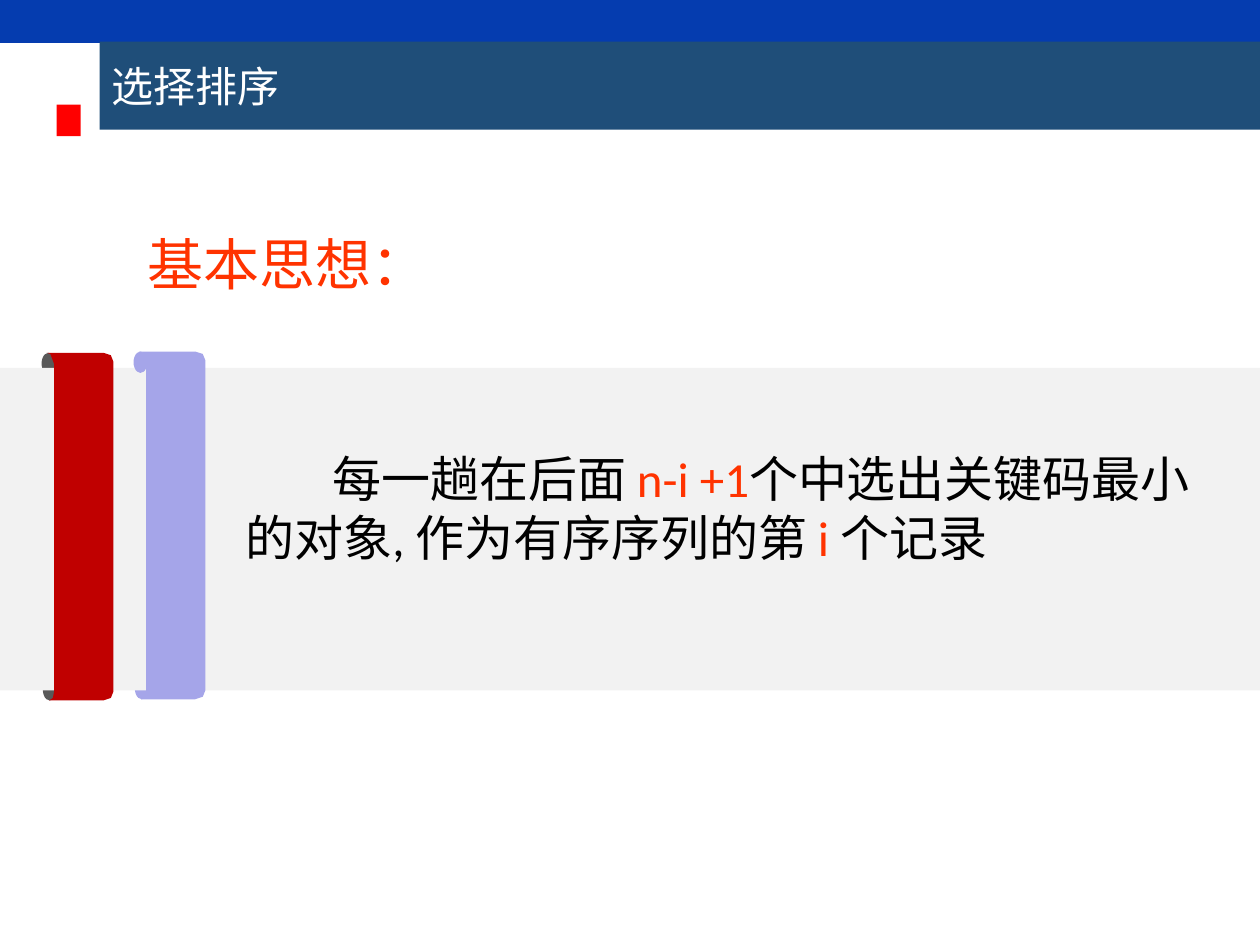
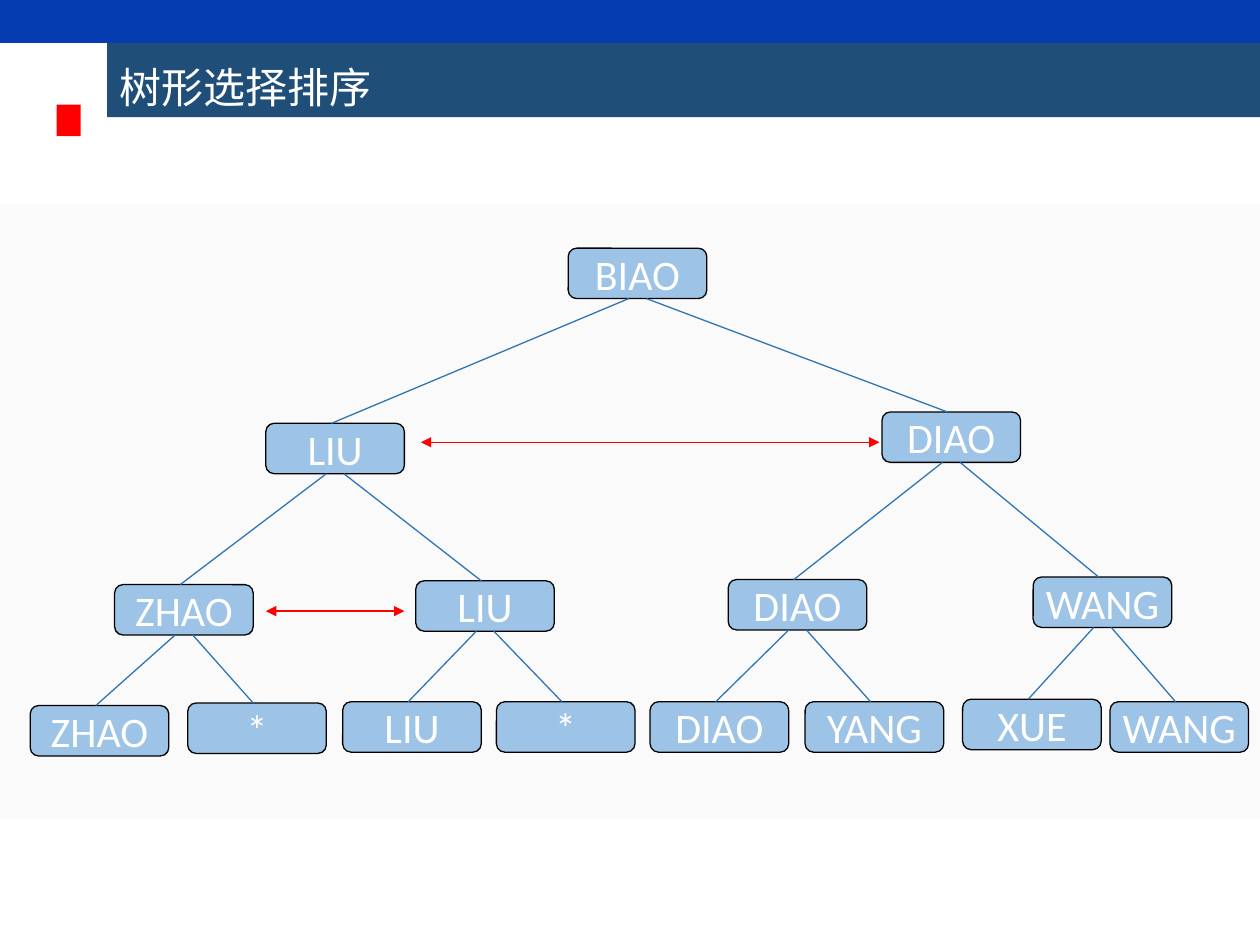
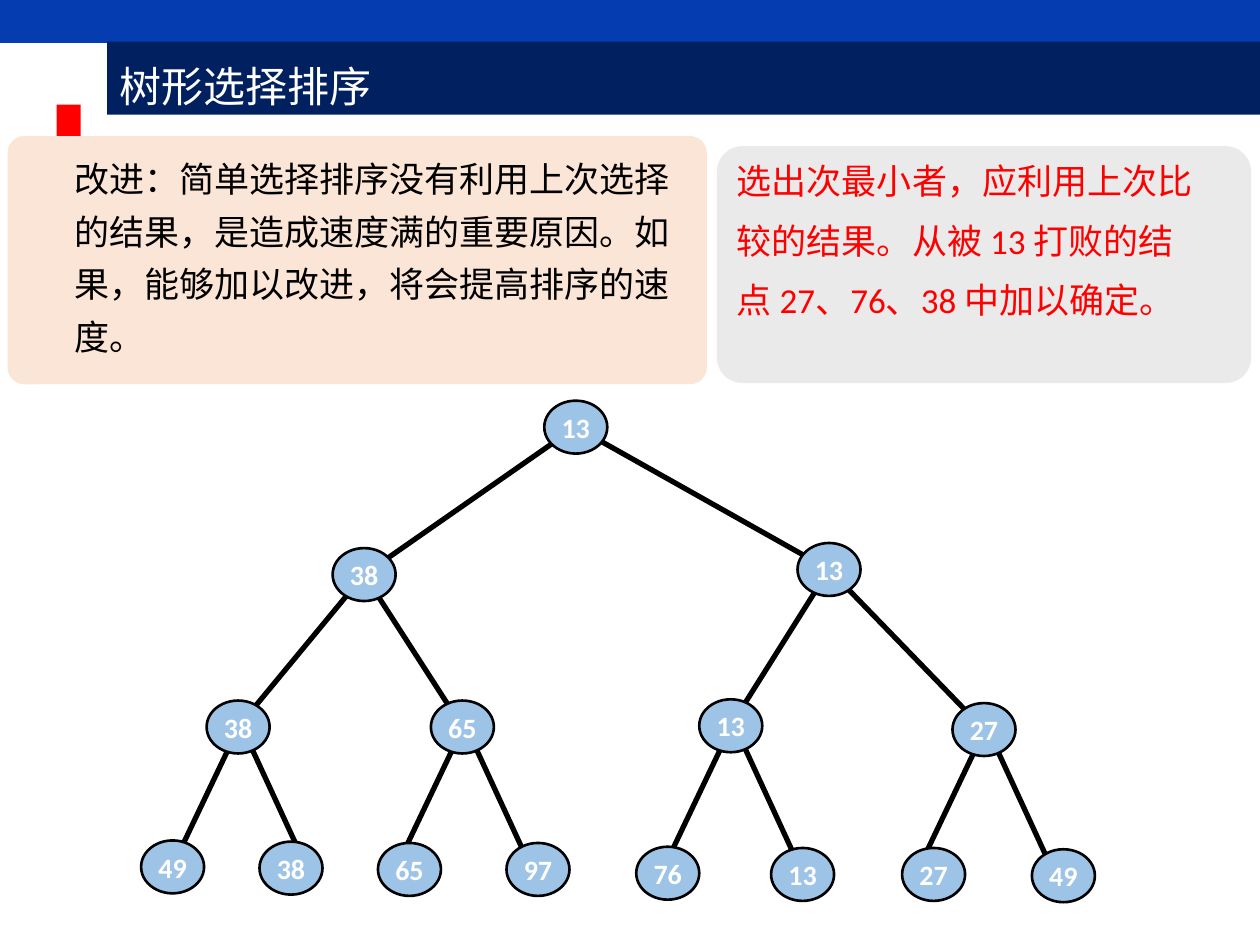
from lxml import etree
from pptx import Presentation
from pptx.dml.color import RGBColor
from pptx.enum import shapes, text
from pptx.oxml import ns
from pptx.util import Inches, Pt

FONT = "Calibri"
BLUE, RED, WHITE, BLACK = "053CAF", "FF0000", "FFFFFF", "000000"
STEEL, NAVY, ORANGE = "1F4E79", "002060", "FF3300"
NODE, EDGE = "9DC3E6", "2E75B6"
CRIMSON, GREY, LILAC = "C00000", "595959", "A5A5E9"
SLIDE_W, SLIDE_H = 10, 7.5
RECT = shapes.MSO_SHAPE.RECTANGLE
ROUND = shapes.MSO_SHAPE.ROUNDED_RECTANGLE
OVAL = shapes.MSO_SHAPE.OVAL
CENTER = text.PP_ALIGN.CENTER
MIDDLE = text.MSO_ANCHOR.MIDDLE
RIBBON = [(0.1, 0.09), (0.07, 0.01), (0.04, 0), (0.49, 0), (0.55, 0.02), (0.57, 0.07),
          (0.57, 2.69), (0.55, 2.74), (0.49, 2.76), (0.06, 2.76), (0.09, 2.74), (0.1, 2.69)]


def rgb(value):
    return RGBColor.from_string(value)


def paint(sp, fill, line=None, width=0.75):
    sp.shadow.inherit = False
    sp.fill.solid()
    sp.fill.fore_color.rgb = rgb(fill)
    if line:
        sp.line.color.rgb = rgb(line)
        sp.line.width = Pt(width)
    else:
        sp.line.fill.background()


def add_box(s, kind, box, fill, line=None, width=0.75, radius=None):
    sp = s.shapes.add_shape(kind, *map(Inches, box))
    paint(sp, fill, line, width)
    if radius is not None:
        sp.adjustments[0] = radius
    return sp


def add_line(s, start, end, color, width=0.75, arrows=False):
    line = s.shapes.add_connector(shapes.MSO_CONNECTOR.STRAIGHT, *map(Inches, start + end))
    line.line.color.rgb = rgb(color)
    line.line.width = Pt(width)
    if arrows:
        ln = line.line._get_or_add_ln()
        for tag in ("a:headEnd", "a:tailEnd"):
            etree.SubElement(ln, ns.qn(tag), type="triangle")
    etree.SubElement(line._element.spPr, ns.qn("a:effectLst"))


def write(sp, paragraphs, size, color=BLACK, bold=False, align=text.PP_ALIGN.LEFT,
          anchor=text.MSO_ANCHOR.TOP, wrap=True, margin=None, spacing=None,
          gap=0, left=0, indent=0):
    """Fill a shape with paragraphs, each a string or a list of (text, color) runs."""
    tf = sp.text_frame
    tf.word_wrap = wrap
    tf.vertical_anchor = anchor
    if margin is not None:
        tf.margin_left = tf.margin_right = tf.margin_top = tf.margin_bottom = Inches(margin)
    for i, runs in enumerate(paragraphs):
        p = tf.add_paragraph() if i else tf.paragraphs[0]
        p.alignment = align
        if spacing:
            p.line_spacing = spacing
        if gap and i:
            p.space_before = Pt(gap)
        if left or indent:
            pPr = p._p.get_or_add_pPr()
            pPr.set("marL", str(Inches(left)))
            pPr.set("indent", str(Inches(indent)))
        for content, run_color in [(runs, color)] if isinstance(runs, str) else runs:
            r = p.add_run()
            r.text = content
            r.font.name, r.font.size, r.font.bold = FONT, Pt(size), bold
            r.font.color.rgb = rgb(run_color)


def add_text(s, box, paragraphs, size, **fmt):
    write(s.shapes.add_textbox(*map(Inches, box)), paragraphs, size, **fmt)


def new_slide(prs):
    s = prs.slides.add_slide(prs.slide_layouts[6])
    add_box(s, RECT, (0, 0, SLIDE_W, 0.34), BLUE)
    add_box(s, RECT, (0.45, 0.83, 0.19, 0.25), RED)
    return s


def title_bar(s, title, left=0.85, top=0.34, height=0.59, fill=STEEL):
    bar = add_box(s, RECT, (left, top, SLIDE_W - left, height), fill)
    write(bar, [title], 24, color=WHITE, spacing=1.25)


def curl(s, x, y, color):
    add_box(s, OVAL, (x, y, 0.11, 0.17), color)


def ribbon(s, x, y, color):
    points = [(Inches(x + dx), Inches(y + dy)) for dx, dy in RIBBON]
    builder = s.shapes.build_freeform(*points[0])
    builder.add_line_segments(points[1:], close=True)
    paint(builder.convert_to_shape(), color)


def family(nodes):
    """Yield child index, side (-1 left, 1 right), parent and child of a tree in level order."""
    for i in range(1, len(nodes)):
        yield i, -1 if i % 2 else 1, nodes[(i - 1) // 2], nodes[i]


def name_tree(s, nodes, w=1.1, h=0.4):
    for label, x, y in nodes:
        sp = add_box(s, ROUND, (x, y, w, h), NODE, BLACK, radius=0.167)
        write(sp, [label], 24, color=WHITE, align=CENTER, anchor=MIDDLE, wrap=False, margin=0)
    for _, side, (_, px, py), (_, cx, cy) in family(nodes):
        add_line(s, (px + w / 2 + side * 0.07, py + h), (cx + w / 2 - 0.03, cy), EDGE)


def number_tree_edges(s, nodes, w=0.5, h=0.42):
    """Inner edges join centres; the edges to the leaves keep one slant per side."""
    first_leaf = len(nodes) // 2
    for i, side, (_, px, py), (_, cx, cy) in family(nodes):
        x, y = px + w / 2, py + h / 2
        start, end = (x, y), (cx + w / 2, cy + h / 2)
        if i >= first_leaf:
            start = (x + 0.03, y - 0.05 if side < 0 else y)
            dx, dy = (-0.61, 1.28) if side < 0 else (0.53, 1.15)
            end = (start[0] + dx, start[1] + dy)
        add_line(s, start, end, BLACK, 3)


def number_tree_nodes(s, nodes, w=0.5, h=0.42):
    for label, x, y in nodes:
        sp = add_box(s, OVAL, (x, y, w, h), NODE, BLACK, 1.5)
        write(sp, [label], 16, color=WHITE, bold=True, align=CENTER, anchor=MIDDLE, wrap=False)


def idea_slide(prs):
    s = new_slide(prs)
    title_bar(s, "选择排序", left=0.79, top=0.33, height=0.7)
    add_text(s, (1.07, 1.77, 8.66, 0.63), ["基本思想："], 32, color=ORANGE)
    curl(s, 1.07, 5.38, LILAC)
    curl(s, 0.34, 5.39, GREY)
    curl(s, 0.33, 2.8, GREY)
    add_box(s, RECT, (0, 2.92, SLIDE_W, 2.56), "F2F2F2")
    ribbon(s, 0.33, 2.8, CRIMSON)
    curl(s, 1.06, 2.79, LILAC)
    ribbon(s, 1.06, 2.79, LILAC)
    idea = [("每一趟在后面 ", BLACK), ("n-i +1", ORANGE),
            ("个中选出关键码最小的对象, 作为有序序列的第 ", BLACK),
            ("i ", ORANGE), ("个记录", BLACK)]
    add_text(s, (1.85, 3.51, 7.88, 1.04), [idea], 28, indent=0.69)


def names_slide(prs):
    s = new_slide(prs)
    add_box(s, RECT, (0, 1.62, SLIDE_W, 4.88), "FAFAFA")
    name_tree(s, [
        ("BIAO", 4.51, 1.97),
        ("LIU", 2.11, 3.36), ("DIAO", 7, 3.27),
        ("ZHAO", 0.91, 4.64), ("LIU", 3.3, 4.61), ("DIAO", 5.78, 4.6), ("WANG", 8.2, 4.58),
        ("ZHAO", 0.24, 5.6), ("*", 1.49, 5.58), ("LIU", 2.72, 5.57), ("*", 3.94, 5.57),
        ("DIAO", 5.16, 5.57), ("YANG", 6.39, 5.57), ("XUE", 7.64, 5.55), ("WANG", 8.81, 5.57),
    ])
    title_bar(s, "树形选择排序")
    for x1, x2, y in [(3.34, 6.98, 3.51), (2.11, 3.21, 4.85)]:
        add_line(s, (x1, y), (x2, y), RED, arrows=True)


def numbers_slide(prs):
    s = new_slide(prs)
    nodes = [
        ("13", 4.32, 3.18),
        ("38", 2.64, 4.35), ("13", 6.33, 4.31),
        ("38", 1.64, 5.56), ("65", 3.42, 5.56), ("13", 5.55, 5.55), ("27", 7.56, 5.58),
        ("49", 1.12, 6.67), ("38", 2.06, 6.68), ("65", 3, 6.69), ("97", 4.02, 6.69),
        ("76", 5.05, 6.72), ("13", 6.12, 6.73), ("27", 7.16, 6.73), ("49", 8.19, 6.74),
    ]
    number_tree_edges(s, nodes)
    reason = add_box(s, ROUND, (0.06, 1.08, 5.55, 1.97), "FBE5D6", radius=0.068)
    write(reason, ["改进：简单选择排序没有利用上次选择的结果，是造成速度满的重要原因。"
                   "如果，能够加以改进，将会提高排序的速度。"], 20, spacing=1.25, left=0.39)
    number_tree_nodes(s, nodes)
    method = add_box(s, ROUND, (5.69, 1.16, 4.24, 1.88), "EAEAEA", radius=0.108)
    write(method, ["选出次最小者，应利用上次比", "较的结果。从被 13 打败的结",
                   "点 27、76、38 中加以确定。"], 20, color=RED, gap=10)
    title_bar(s, "树形选择排序", top=0.33, height=0.58, fill=NAVY)


def main():
    prs = Presentation()
    prs.slide_width, prs.slide_height = Inches(SLIDE_W), Inches(SLIDE_H)
    idea_slide(prs)
    names_slide(prs)
    numbers_slide(prs)
    prs.save("out.pptx")


if __name__ == "__main__":
    main()
